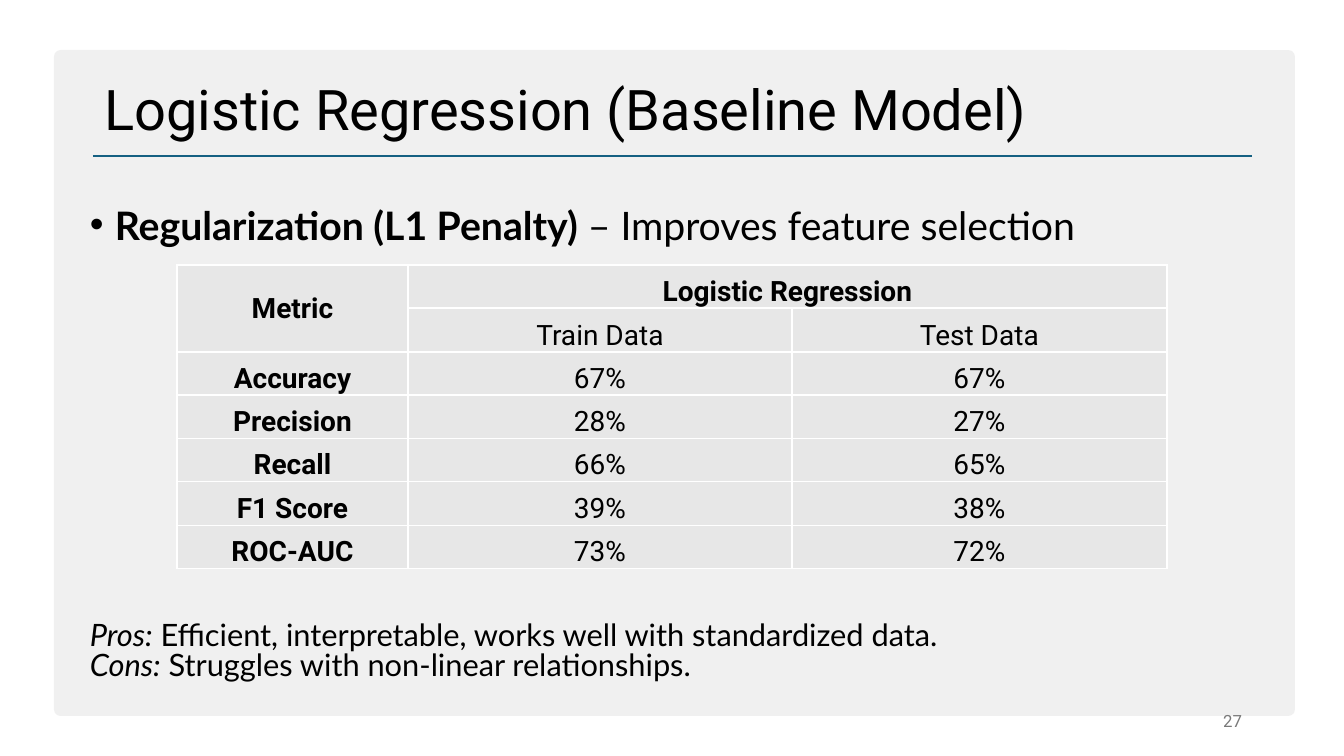
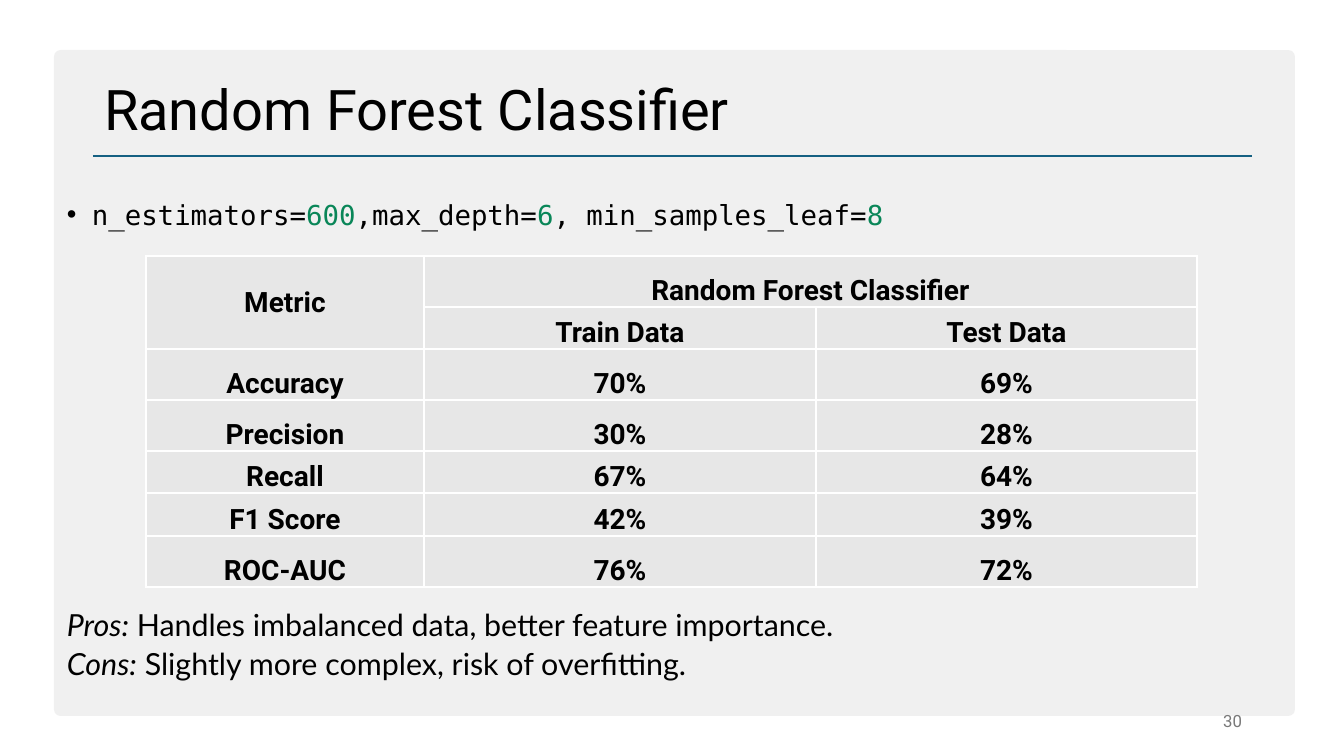
"""Build two slides that report the scores of two classifiers."""
from lxml.etree import SubElement
from pptx import Presentation
from pptx.dml.color import RGBColor
from pptx.enum.shapes import MSO_CONNECTOR, MSO_SHAPE
from pptx.enum.text import MSO_ANCHOR, MSO_AUTO_SIZE, PP_ALIGN
from pptx.oxml.ns import qn
from pptx.util import Pt

PX = 9071
BLACK, PANEL, RULE, CELL, WHITE = "000000", "F0F0F0", "156082", "E7E7E7", "FFFFFF"
GREEN, GREY = "098658", "797979"
BOLD, PLAIN, ITALIC, NUMBER = {"bold": True}, {}, {"italic": True}, {"color": GREEN}

MODELS = [
    {
        "title": "Logistic Regression (Baseline Model)",
        "page": "27",
        "setting": [("Regularization (L1 Penalty)", BOLD),
                    (" – Improves feature selection", PLAIN)],
        "setting_look": {"name": "Lato", "size": Pt(28)},
        "setting_at": (80, 205, 1184, 50),
        "verdict": [("Pros:", " Efficient, interpretable, works well with standardized data."),
                    ("Cons:", " Struggles with non-linear relationships.")],
        "verdict_size": Pt(22),
        "verdict_at": (80, 618, 1184, 75),
        "verdict_gap": Pt(0),
        "line_spacing": 0.8,
        "table_name": "Logistic Regression",
        "scores": [("67%", "67%"), ("28%", "27%"), ("66%", "65%"),
                   ("39%", "38%"), ("73%", "72%")],
        "bold_scores": False,
        "table_at": (177, 265),
        "columns": [231, 384, 375],
        "rows": [43, 44, 43, 44, 43, 44, 43],
    },
    {
        "title": "Random Forest Classifier",
        "page": "30",
        "setting": [("n_estimators=", PLAIN), ("600", NUMBER), (",max_depth=", PLAIN),
                    ("6", NUMBER), (", min_samples_leaf=", PLAIN), ("8", NUMBER)],
        "setting_look": {"name": "DejaVu Sans Mono", "size": Pt(19.6)},
        "setting_at": (57, 202, 1193, 40),
        "verdict": [("Pros:", " Handles imbalanced data, better feature importance."),
                    ("Cons:", " Slightly more complex, risk of overfitting.")],
        "verdict_size": Pt(21.7),
        "verdict_at": (57, 611, 1193, 80),
        "verdict_gap": Pt(10),
        "line_spacing": 0.7,
        "table_name": "Random Forest Classifier",
        "scores": [("70%", "69%"), ("30%", "28%"), ("67%", "64%"),
                   ("42%", "39%"), ("76%", "72%")],
        "bold_scores": True,
        "table_at": (146, 256),
        "columns": [278, 392, 381],
        "rows": [51, 42, 51, 51, 42, 43, 51],
    },
]
METRICS = ["Accuracy", "Precision", "Recall", "F1 Score", "ROC-AUC"]


def write(paragraph, pieces, **look):
    """Add runs to a paragraph, each with the shared look and its own changes."""
    for text, changes in pieces:
        run = paragraph.add_run()
        run.text = text
        values = {"color": BLACK, **look, **changes}
        run.font.color.rgb = RGBColor.from_string(values.pop("color"))
        for attribute, value in values.items():
            setattr(run.font, attribute, value)


def add_text(slide, at, anchor=MSO_ANCHOR.TOP):
    """Add a wrapping text box placed in px and return its text frame."""
    frame = slide.shapes.add_textbox(*(n * PX for n in at)).text_frame
    frame.word_wrap = True
    frame.vertical_anchor = anchor
    return frame


deck = Presentation()
deck.slide_width, deck.slide_height = 1344 * PX, 756 * PX
layout = deck.slide_layouts[5]
slides = [deck.slides.add_slide(layout) for _ in MODELS]

panel = slides[0].shapes.add_shape(
    MSO_SHAPE.ROUNDED_RECTANGLE, 54 * PX, 50 * PX, 1241 * PX, 666 * PX)
panel.adjustments[0] = 0.01
panel.shadow.inherit = False
panel.fill.solid()
panel.fill.fore_color.rgb = RGBColor.from_string(PANEL)
panel.line.fill.background()

title_rule = slides[0].shapes.add_connector(
    MSO_CONNECTOR.STRAIGHT, 93 * PX, 156 * PX, 1252 * PX, 156 * PX)
title_rule.line.color.rgb = RGBColor.from_string(RULE)
title_rule.line.width = Pt(1.5)
SubElement(title_rule._element.spPr, qn("a:effectLst"))

for shared in (title_rule, panel):
    layout.shapes._spTree.insert(2, shared._element)

for slide, model in zip(slides, MODELS):
    title = slide.shapes.title
    placement = {"left": 94, "top": 71, "width": 1159, "height": 83}
    for attribute, value in placement.items():
        setattr(title, attribute, value * PX)
    heading = title.text_frame
    heading.auto_size = MSO_AUTO_SIZE.NONE
    heading.vertical_anchor = MSO_ANCHOR.MIDDLE
    heading.paragraphs[0].alignment = PP_ALIGN.LEFT
    heading.paragraphs[0].line_spacing = 0.9
    write(heading.paragraphs[0], [(model["title"], PLAIN)], name="Roboto", size=Pt(40))

    setting = add_text(slide, model["setting_at"]).paragraphs[0]
    properties = setting._p.get_or_add_pPr()
    properties.set("marL", str(25 * PX))
    properties.set("indent", str(-25 * PX))
    SubElement(properties, qn("a:buFont"), typeface="Arial")
    SubElement(properties, qn("a:buChar"), char="•")
    setting.line_spacing = model["line_spacing"]
    write(setting, model["setting"], **model["setting_look"])

    verdict = add_text(slide, model["verdict_at"])
    for index, (label, remark) in enumerate(model["verdict"]):
        line = verdict.add_paragraph() if index else verdict.paragraphs[0]
        line.line_spacing = model["line_spacing"]
        if index:
            line.space_before = model["verdict_gap"]
        write(line, [(label, ITALIC), (remark, PLAIN)],
              name="Lato", size=model["verdict_size"])

    columns, rows = model["columns"], model["rows"]
    extent = (*model["table_at"], sum(columns), sum(rows))
    scores = slide.shapes.add_table(
        len(rows), len(columns), *(n * PX for n in extent)).table
    scores.first_row = scores.horz_banding = False
    for column, width in zip(scores.columns, columns):
        column.width = width * PX
    for row, height in zip(scores.rows, rows):
        row.height = height * PX
    scores.cell(0, 0).merge(scores.cell(1, 0))
    scores.cell(0, 1).merge(scores.cell(0, 2))

    content = [("Metric", model["table_name"], ""), ("", "Train Data", "Test Data")]
    content += [(metric, *pair) for metric, pair in zip(METRICS, model["scores"])]
    for r, texts in enumerate(content):
        for c, text in enumerate(texts):
            cell = scores.cell(r, c)
            for side in ("a:lnL", "a:lnR", "a:lnT", "a:lnB"):
                border = SubElement(cell._tc.get_or_add_tcPr(), qn(side), w=str(Pt(1)))
                SubElement(SubElement(border, qn("a:solidFill")), qn("a:srgbClr"), val=WHITE)
            cell.fill.solid()
            cell.fill.fore_color.rgb = RGBColor.from_string(CELL)
            layout_values = {
                "margin_left": PX, "margin_right": PX, "margin_top": PX, "margin_bottom": 0,
                "vertical_anchor": MSO_ANCHOR.BOTTOM if r or c else MSO_ANCHOR.MIDDLE,
            }
            for attribute, value in layout_values.items():
                setattr(cell, attribute, value)
            if text:
                entry = cell.text_frame.paragraphs[0]
                entry.alignment = PP_ALIGN.CENTER
                write(entry, [(text, PLAIN)], name="Roboto", size=Pt(20),
                      bold=r == 0 or c == 0 or model["bold_scores"])

    page = add_text(slide, (950, 701, 302, 40), MSO_ANCHOR.MIDDLE).paragraphs[0]
    page.alignment = PP_ALIGN.RIGHT
    write(page, [(model["page"], PLAIN)], name="Roboto", size=Pt(12), color=GREY)

deck.save("out.pptx")
